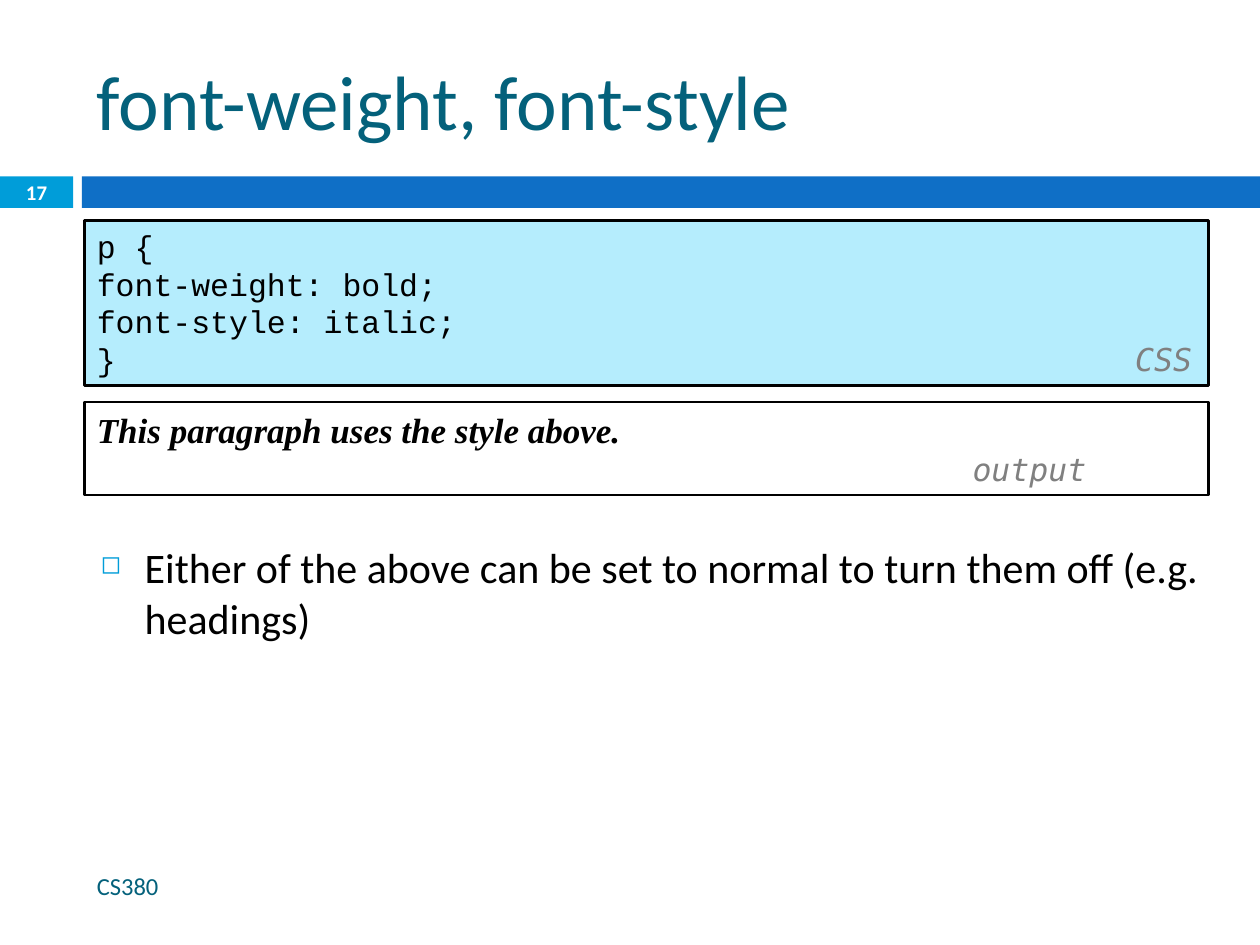
from dataclasses import dataclass

from lxml.etree import SubElement
from pptx import Presentation
from pptx.dml.color import RGBColor
from pptx.enum.shapes import MSO_SHAPE
from pptx.enum.text import MSO_ANCHOR, PP_ALIGN
from pptx.oxml.ns import qn
from pptx.util import Inches, Pt

COLORS = {
    "title": "04617B",
    "accent": "009DD9",
    "band": "0F6FC6",
    "code": "B5EDFD",
    "white": "FFFFFF",
    "black": "000000",
    "label": "808080",
}


@dataclass(frozen=True)
class Area:
    left: float
    top: float
    width: float
    height: float

    def lengths(self) -> tuple:
        return tuple(Inches(v) for v in (self.left, self.top, self.width, self.height))


@dataclass(frozen=True)
class Span:
    text: str
    size: float
    color: str = "black"
    font: str = "Calibri"
    bold: bool = False
    italic: bool = False


@dataclass(frozen=True)
class Line:
    spans: tuple[Span, ...]
    align: PP_ALIGN = PP_ALIGN.LEFT
    indent: float = 0
    tab: float = 0
    bullet: bool = False


def color(name: str) -> RGBColor:
    return RGBColor.from_string(COLORS[name])


def add_bullet(properties) -> None:
    """Hang a small square in front of an indented paragraph."""
    properties.set("indent", str(-int(properties.get("marL"))))
    bullet_color = SubElement(properties, qn("a:buClr"))
    SubElement(bullet_color, qn("a:srgbClr"), val=COLORS["accent"])
    SubElement(properties, qn("a:buSzPct"), val="60000")
    SubElement(properties, qn("a:buChar"), char="◻")


def write(shape, lines: list[Line], anchor=MSO_ANCHOR.TOP) -> None:
    frame = shape.text_frame
    frame.word_wrap = True
    frame.vertical_anchor = anchor
    for index, line in enumerate(lines):
        para = frame.add_paragraph() if index else frame.paragraphs[0]
        para.alignment = line.align
        properties = para._p.get_or_add_pPr()
        if line.indent:
            properties.set("marL", str(Inches(line.indent)))
        if line.bullet:
            para.space_before = Pt(7)
            add_bullet(properties)
        if line.tab:
            stops = SubElement(properties, qn("a:tabLst"))
            SubElement(stops, qn("a:tab"), pos=str(Inches(line.tab)), algn="l")
        for span in line.spans:
            run = para.add_run()
            run.text = span.text
            run.font.name = span.font
            run.font.size = Pt(span.size)
            run.font.bold = span.bold
            run.font.italic = span.italic
            run.font.color.rgb = color(span.color)


def add_text(page, area: Area, line: Line, anchor=MSO_ANCHOR.MIDDLE) -> None:
    write(page.shapes.add_textbox(*area.lengths()), [line], anchor)


def add_rectangle(page, area: Area, fill: str, outlined: bool = False):
    shape = page.shapes.add_shape(MSO_SHAPE.RECTANGLE, *area.lengths())
    shape.shadow.inherit = False
    shape.fill.solid()
    shape.fill.fore_color.rgb = color(fill)
    if outlined:
        shape.line.color.rgb = color("black")
        shape.line.width = Pt(1.5)
    else:
        shape.line.fill.background()
    return shape


def code(text: str) -> Span:
    return Span(text, 18, font="Courier New")


def label(text: str) -> Span:
    return Span(text, 18, "label", "DejaVu Sans Mono", italic=True)


def main() -> None:
    deck = Presentation()
    deck.slide_width, deck.slide_height = Inches(10), Inches(7.5)
    page = deck.slides.add_slide(deck.slide_layouts[6])

    add_rectangle(page, Area(0, 1.4, 0.58, 0.25), "accent")
    add_rectangle(page, Area(0.65, 1.4, 9.35, 0.25), "band")
    add_text(page, Area(0.67, 0.25, 8.92, 1.08),
             Line((Span("font-weight, font-style", 44, "title"),)))
    add_text(page, Area(0, 1.39, 0.58, 0.27),
             Line((Span("17", 11.9, "white", bold=True),), PP_ALIGN.CENTER))

    code_box = add_rectangle(page, Area(0.67, 1.75, 8.92, 1.31), "code", outlined=True)
    rules = ("p {", "font-weight: bold;", "font-style: italic;")
    closing = Line((code("}\t"), label("CSS")), tab=8.24)
    write(code_box, [Line((code(rule),)) for rule in rules] + [closing])

    output_box = add_rectangle(page, Area(0.67, 3.19, 8.92, 0.74), "white", outlined=True)
    sample = Span("This paragraph uses the style above.", 20,
                  font="Times New Roman", bold=True, italic=True)
    write(output_box, [Line((sample,)), Line((label("output"),), indent=6.95)])

    note = "Either of the above can be set to normal to turn them off (e.g. headings)"
    add_text(page, Area(0.7, 4.25, 8.92, 1.67),
             Line((Span(note, 24),), indent=0.35, bullet=True), MSO_ANCHOR.TOP)
    add_text(page, Area(0.67, 6.83, 5.93, 0.4), Line((Span("CS380", 14, "title"),)))

    deck.save("out.pptx")


if __name__ == "__main__":
    main()
